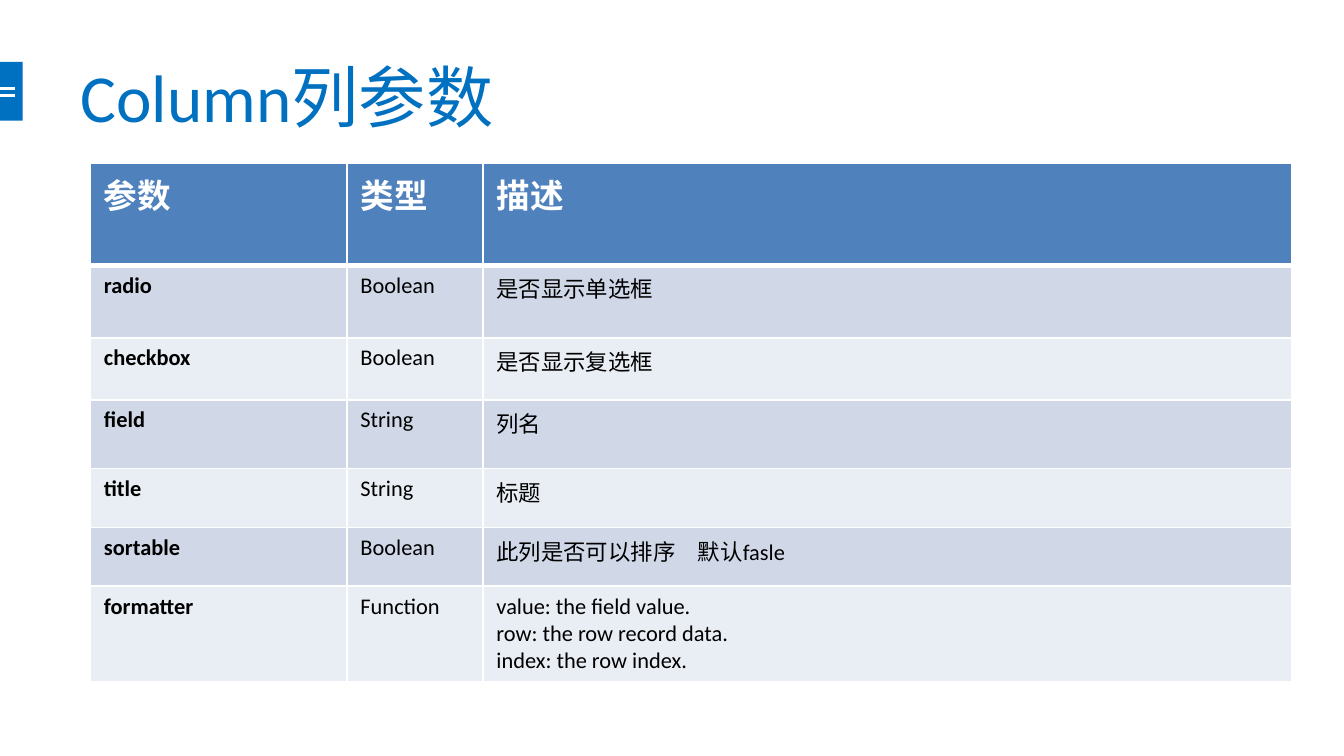
from dataclasses import dataclass

from lxml.etree import SubElement
from pptx import Presentation
from pptx.dml.color import RGBColor
from pptx.enum.shapes import MSO_CONNECTOR, MSO_SHAPE
from pptx.enum.text import MSO_ANCHOR, MSO_AUTO_SIZE, PP_ALIGN
from pptx.oxml import parse_xml
from pptx.oxml.ns import nsdecls, qn
from pptx.util import Cm, Pt


@dataclass(frozen=True)
class Theme:
    """Colours, typeface and type sizes of the slide."""

    accent: str = "0070C0"
    header: str = "4F81BD"
    bands: tuple = ("D0D8E8", "E9EDF4")
    light: str = "FFFFFF"
    dark: str = "000000"
    font: str = "Calibri"
    title_size: int = 36
    header_size: int = 18
    body_size: int = 12


def apply(target, values):
    """Set each attribute named in values on target."""
    for name, value in values.items():
        setattr(target, name, value)


class SlideBuilder:
    """Draws styled elements on the current slide."""

    def __init__(self, slide, theme):
        self.slide = slide
        self.theme = theme

    def style_font(self, font, size, color, bold=False):
        """Give a font the theme typeface with a size and colour."""
        apply(font, {"name": self.theme.font, "size": Pt(size), "bold": bold})
        font.color.rgb = RGBColor.from_string(color)

    def title(self, wording, left, top, width, height):
        """Place and format the title placeholder."""
        heading = self.slide.shapes.title
        apply(heading, {"left": Cm(left), "top": Cm(top), "width": Cm(width), "height": Cm(height)})
        frame = heading.text_frame
        frame.text = wording
        apply(frame, {
            "word_wrap": True,
            "auto_size": MSO_AUTO_SIZE.NONE,
            "vertical_anchor": MSO_ANCHOR.MIDDLE,
        })
        frame.paragraphs[0].alignment = PP_ALIGN.LEFT
        self.style_font(frame.paragraphs[0].font, self.theme.title_size, self.theme.accent)

    def block(self, left, top, width, height):
        """Draw a plain accent rectangle."""
        tab = self.slide.shapes.add_shape(
            MSO_SHAPE.RECTANGLE, Cm(left), Cm(top), Cm(width), Cm(height))
        tab.shadow.inherit = False
        tab.fill.solid()
        tab.fill.fore_color.rgb = RGBColor.from_string(self.theme.accent)
        tab.line.fill.background()

    def rule(self, left, top, width):
        """Draw a light horizontal line."""
        stroke = self.slide.shapes.add_connector(
            MSO_CONNECTOR.STRAIGHT, Cm(left), Cm(top), Cm(left + width), Cm(top))
        stroke.line.color.rgb = RGBColor.from_string(self.theme.light)
        stroke.line.width = Pt(1.5)
        SubElement(stroke._element.spPr, qn("a:effectLst"))

    def borders(self, cell, top, bottom):
        """Give a cell light borders with point widths above and below."""
        widths = {"lnL": 1, "lnR": 1, "lnT": top, "lnB": bottom}
        properties = cell._tc.get_or_add_tcPr()
        for position, (side, points) in enumerate(widths.items()):
            properties.insert(position, parse_xml(
                f'<a:{side} {nsdecls("a")} w="{Pt(points)}"><a:solidFill>'
                f'<a:srgbClr val="{self.theme.light}"/></a:solidFill></a:{side}>'))

    def cell(self, cell, wording, row, column):
        """Fill and format one cell according to its row and column."""
        theme = self.theme
        is_header = row == 0
        cell.text = wording
        cell.fill.solid()
        fill = theme.header if is_header else theme.bands[(row - 1) % 2]
        cell.fill.fore_color.rgb = RGBColor.from_string(fill)
        size = theme.header_size if is_header else theme.body_size
        color = theme.light if is_header else theme.dark
        for paragraph in cell.text_frame.paragraphs:
            self.style_font(paragraph.font, size, color, is_header or column == 0)
        self.borders(cell, 3 if row == 1 else 1, 3 if is_header else 1)

    def table(self, records, left, top, widths, heights):
        """Draw a banded table with a header row."""
        grid = self.slide.shapes.add_table(
            len(heights), len(widths), Cm(left), Cm(top),
            Cm(sum(widths)), Cm(sum(heights))).table
        for column, width in zip(grid.columns, widths):
            column.width = Cm(width)
        for row, height in zip(grid.rows, heights):
            row.height = Cm(height)
        for row, record in enumerate(records):
            for column, wording in enumerate(record):
                self.cell(grid.cell(row, column), wording, row, column)


PARAMETERS = [
    ("参数", "类型", "描述"),
    ("radio", "Boolean", "是否显示单选框"),
    ("checkbox", "Boolean", "是否显示复选框"),
    ("field", "String", "列名"),
    ("title", "String", "标题"),
    ("sortable", "Boolean", "此列是否可以排序　默认fasle"),
    ("formatter", "Function",
     "value: the field value.\nrow: the row record data.\nindex: the row index."),
]


def main():
    """Build and save the column parameter slide."""
    deck = Presentation()
    apply(deck, {"slide_width": Cm(25.4), "slide_height": Cm(14.29)})
    builder = SlideBuilder(deck.slides.add_slide(deck.slide_layouts[5]), Theme())
    builder.block(0, 1.17, 0.43, 1.11)
    for height in (1.67, 1.81):
        builder.rule(0, height, 0.28)
    builder.title("Column列参数", 1.27, 1.22, 22.86, 1.17)
    builder.table(
        PARAMETERS, 1.71, 3.08,
        widths=(4.85, 2.57, 15.29),
        heights=(1.93, 1.38, 1.17, 1.3, 1.11, 1.11, 1.78))
    deck.save("out.pptx")


if __name__ == "__main__":
    main()
